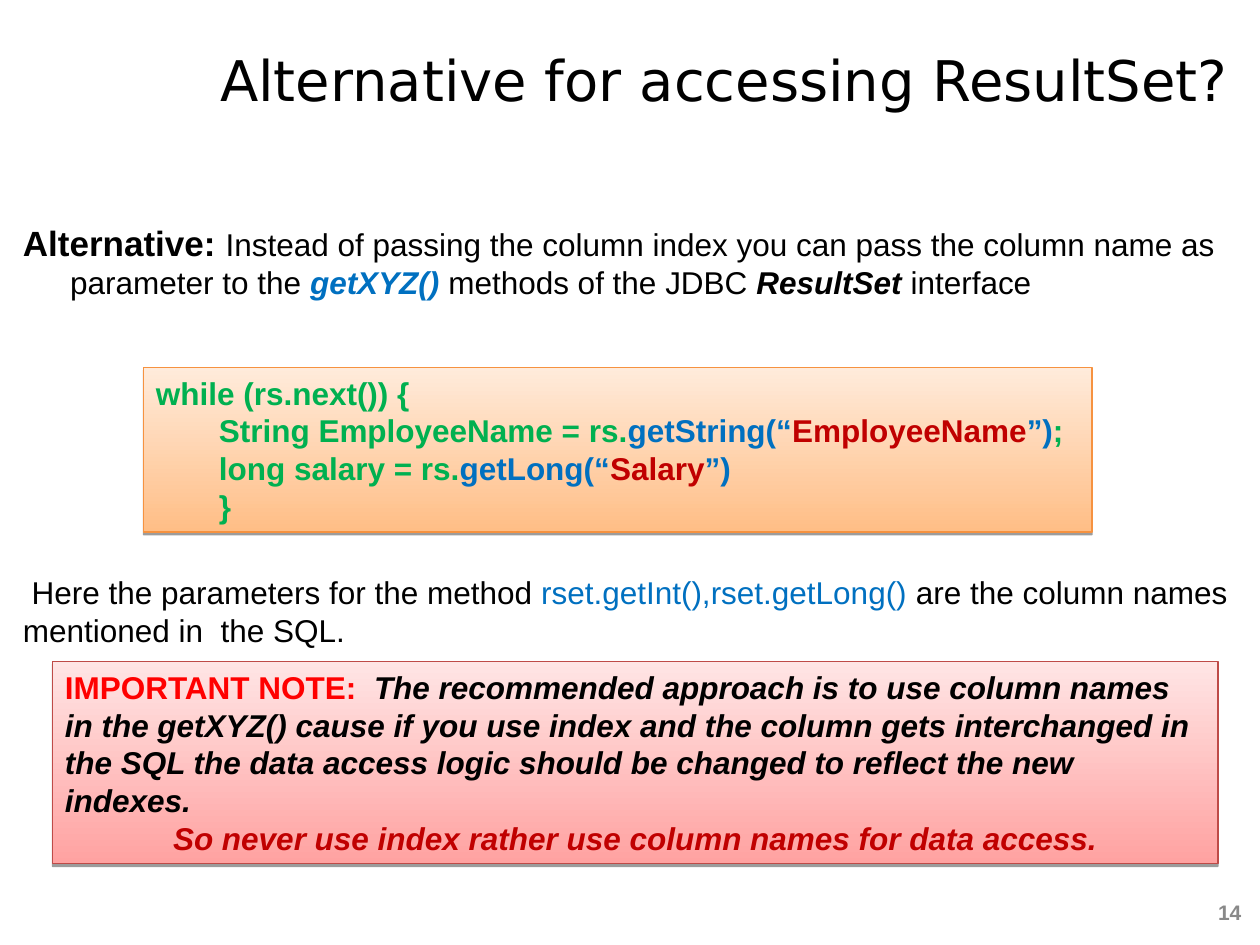
from lxml import etree
from pptx import Presentation
from pptx.dml.color import RGBColor
from pptx.enum import shapes, text
from pptx.oxml.ns import qn
from pptx.util import Pt

BLACK = RGBColor(0x00, 0x00, 0x00)
GRAY = RGBColor(0x89, 0x89, 0x89)
GREEN = RGBColor(0x00, 0xB0, 0x50)
BLUE = RGBColor(0x00, 0x70, 0xC0)
DARK_RED = RGBColor(0xC0, 0x00, 0x00)
RED = RGBColor(0xFF, 0x00, 0x00)
ORANGE_LINE = RGBColor(0xF6, 0x92, 0x40)
ORANGE_DEEP = RGBColor(0xFF, 0xBE, 0x86)
ORANGE_PALE = RGBColor(0xFF, 0xEB, 0xDB)
ROSE_LINE = RGBColor(0xBE, 0x4B, 0x48)
ROSE_DEEP = RGBColor(0xFF, 0xA2, 0xA1)
ROSE_PALE = RGBColor(0xFF, 0xE5, 0xE5)

LEFT = text.PP_ALIGN.LEFT
CENTER = text.PP_ALIGN.CENTER
RIGHT = text.PP_ALIGN.RIGHT
TOP = text.MSO_ANCHOR.TOP
MIDDLE = text.MSO_ANCHOR.MIDDLE


def add_run(paragraph, content, size=18, color=BLACK, bold=False, italic=False, font="Arial"):
    run = paragraph.add_run()
    run.text = content
    run.font.name = font
    run.font.size = Pt(size)
    run.font.bold = bold
    run.font.italic = italic
    run.font.color.rgb = color


def format_paragraph(paragraph, align=LEFT, margin=0, hanging=0):
    paragraph.alignment = align
    properties = paragraph._p.get_or_add_pPr()
    properties.set("marL", str(Pt(margin)))
    properties.set("indent", str(-Pt(hanging)))


def prepare_frame(shape, anchor=TOP):
    frame = shape.text_frame
    frame.word_wrap = True
    frame.vertical_anchor = anchor
    frame.margin_left = frame.margin_right = Pt(7.2)
    frame.margin_top = frame.margin_bottom = Pt(3.6)
    return frame


def add_text_box(slide, box, anchor=TOP):
    shape = slide.shapes.add_textbox(*map(Pt, box))
    return prepare_frame(shape, anchor).paragraphs[0]


def add_panel(slide, box, deep, pale, line):
    shape = slide.shapes.add_shape(shapes.MSO_SHAPE.RECTANGLE, *map(Pt, box))
    shape.fill.gradient()
    shape.fill.gradient_angle = 90
    for stop, color in zip(shape.fill.gradient_stops, (deep, pale)):
        stop.color.rgb = color
    shape.line.color.rgb = line
    shape.line.width = Pt(0.75)
    shape.shadow.inherit = False
    effects = shape._element.spPr.find(qn("a:effectLst"))
    shadow = etree.SubElement(effects, qn("a:outerShdw"), blurRad="0",
                              dist=str(Pt(1.6)), dir="5400000", rotWithShape="0")
    color = etree.SubElement(shadow, qn("a:srgbClr"), val=str(BLACK))
    etree.SubElement(color, qn("a:alpha"), val="38000")
    return prepare_frame(shape)


def add_title(slide, box):
    title = slide.shapes.title
    title.left, title.top, title.width, title.height = map(Pt, box)
    frame = prepare_frame(title, MIDDLE)
    format_paragraph(frame.paragraphs[0], CENTER)
    add_run(frame.paragraphs[0], "Alternative for accessing ResultSet?", size=32, font="DejaVu Sans")


def add_introduction(slide, box):
    paragraph = add_text_box(slide, box)
    format_paragraph(paragraph, margin=27, hanging=27)
    add_run(paragraph, "Alternative: ", size=20, bold=True)
    add_run(paragraph, "Instead of passing the column index you can pass the column name "
                       "as parameter to the ")
    add_run(paragraph, "getXYZ() ", color=BLUE, bold=True, italic=True)
    add_run(paragraph, "methods of the JDBC ")
    add_run(paragraph, "ResultSet", bold=True, italic=True)
    add_run(paragraph, " interface")


def add_code(slide, box):
    frame = add_panel(slide, box, ORANGE_DEEP, ORANGE_PALE, ORANGE_LINE)
    lines = [
        [("while (rs.next()) {", GREEN)],
        [("String EmployeeName = rs.", GREEN), ("getString(“", BLUE),
         ("EmployeeName", DARK_RED), ("”)", BLUE), (";", GREEN)],
        [("long salary = rs.", GREEN), ("getLong(“", BLUE),
         ("Salary", DARK_RED), ("”)", BLUE)],
        [("}", GREEN)],
    ]
    for index, line in enumerate(lines):
        paragraph = frame.add_paragraph() if index else frame.paragraphs[0]
        format_paragraph(paragraph, margin=41 if index else 5, hanging=5)
        for content, color in line:
            add_run(paragraph, content, color=color, bold=True)


def add_explanation(slide, box):
    paragraph = add_text_box(slide, box)
    format_paragraph(paragraph)
    add_run(paragraph, " Here the parameters for the method ")
    add_run(paragraph, "rset.getInt(),rset.getLong() ", color=BLUE)
    add_run(paragraph, "are the column names mentioned in  the SQL.")


def add_note(slide, box):
    frame = add_panel(slide, box, ROSE_DEEP, ROSE_PALE, ROSE_LINE)
    advice = frame.paragraphs[0]
    format_paragraph(advice)
    add_run(advice, "IMPORTANT NOTE:  ", color=RED, bold=True)
    add_run(advice, "The recommended approach is to use column names in the getXYZ() cause "
                    "if you use index and the column gets interchanged in the SQL the data "
                    "access logic should be changed to reflect the new indexes.",
            bold=True, italic=True)
    conclusion = frame.add_paragraph()
    format_paragraph(conclusion, CENTER)
    add_run(conclusion, "So never use index rather use column names for data access.",
            color=DARK_RED, bold=True, italic=True)


def add_page_number(slide, box):
    paragraph = add_text_box(slide, box, MIDDLE)
    format_paragraph(paragraph, RIGHT)
    add_run(paragraph, "14", size=12, color=GRAY, bold=True)


def main():
    presentation = Presentation()
    presentation.slide_width = Pt(720)
    presentation.slide_height = Pt(540)
    slide = presentation.slides.add_slide(presentation.slide_layouts[5])
    add_title(slide, (108, 0, 612, 90))
    add_page_number(slide, (681, 508.5, 35.5, 25))
    add_code(slide, (82, 210, 542, 94))
    add_explanation(slide, (6, 324, 732, 50.5))
    add_introduction(slide, (6, 123, 702, 83.5))
    add_note(slide, (30, 378, 666, 115.5))
    presentation.save("out.pptx")


if __name__ == "__main__":
    main()
